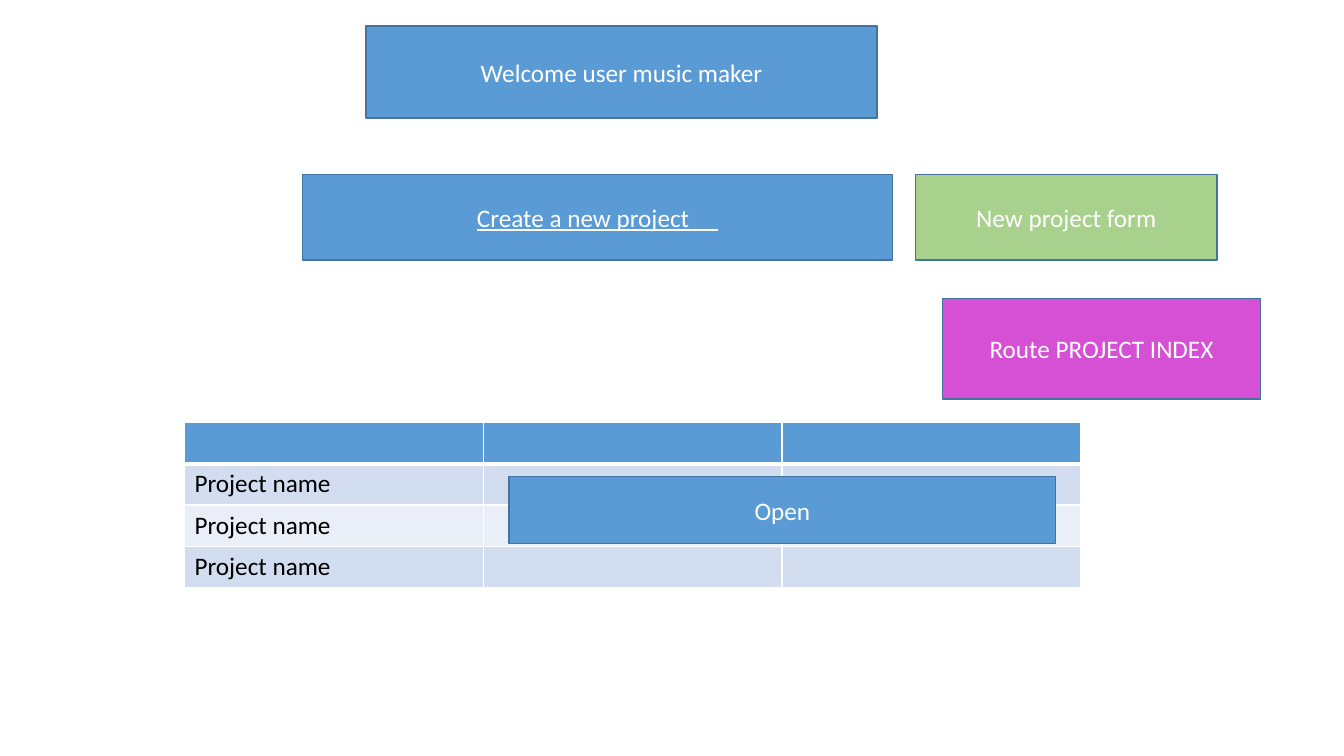
from dataclasses import dataclass

from lxml.etree import SubElement
from pptx import Presentation
from pptx.dml.color import RGBColor
from pptx.enum.shapes import MSO_SHAPE
from pptx.enum.text import MSO_ANCHOR, MSO_AUTO_SIZE, PP_ALIGN
from pptx.oxml.ns import qn
from pptx.util import Inches, Pt


@dataclass(frozen=True)
class Theme:
    font: str = "Calibri"
    size: int = 18
    blue: str = "5B9BD5"
    outline: str = "43739E"
    green: str = "A9D18E"
    magenta: str = "D650D5"
    light: str = "FFFFFF"
    dark: str = "000000"
    odd_row: str = "D2DEEF"
    even_row: str = "EAEFF7"
    rule: int = 1
    header_rule: int = 3


class Wireframe:
    def __init__(self, slide, theme):
        self.slide = slide
        self.theme = theme

    def fill(self, target, color):
        target.fill.solid()
        target.fill.fore_color.rgb = RGBColor.from_string(color)

    def set_text(self, frame, text, color, underline=None):
        frame.text = text
        for run in frame.paragraphs[0].runs:
            run.font.name = self.theme.font
            run.font.size = Pt(self.theme.size)
            run.font.color.rgb = RGBColor.from_string(color)
            run.font.underline = underline

    def style_box(self, box, text, color, underline=None):
        self.fill(box, color)
        box.line.color.rgb = RGBColor.from_string(self.theme.outline)
        box.line.width = Pt(self.theme.rule)
        frame = box.text_frame
        frame.word_wrap = True
        frame.auto_size = MSO_AUTO_SIZE.NONE
        frame.vertical_anchor = MSO_ANCHOR.MIDDLE
        self.set_text(frame, text, self.theme.light, underline)
        frame.paragraphs[0].alignment = PP_ALIGN.CENTER

    def title(self, text, left, top, width, height):
        heading = self.slide.shapes.title
        heading.left, heading.top = Inches(left), Inches(top)
        heading.width, heading.height = Inches(width), Inches(height)
        self.style_box(heading, text, self.theme.blue)

    def box(self, text, left, top, width, height, color, underline=None):
        panel = self.slide.shapes.add_shape(
            MSO_SHAPE.RECTANGLE, Inches(left), Inches(top), Inches(width), Inches(height))
        panel.shadow.inherit = False
        self.style_box(panel, text, color, underline)

    def borders(self, cell, bottom):
        properties = cell._tc.get_or_add_tcPr()
        widths = {"lnL": self.theme.rule, "lnR": self.theme.rule,
                  "lnT": self.theme.rule, "lnB": bottom}
        for position, (side, width) in enumerate(widths.items()):
            line = SubElement(properties, qn(f"a:{side}"), w=str(Pt(width)))
            properties.insert(position, line)
            solid = SubElement(line, qn("a:solidFill"))
            SubElement(solid, qn("a:srgbClr"), val=self.theme.light)

    def table(self, rows, left, top, width, row_height):
        grid = self.slide.shapes.add_table(
            len(rows), len(rows[0]), Inches(left), Inches(top),
            Inches(width), Inches(row_height * len(rows))).table
        row_fills = (self.theme.even_row, self.theme.odd_row)
        for row, texts in enumerate(rows):
            header = row == 0
            color = self.theme.blue if header else row_fills[row % 2]
            for column, text in enumerate(texts):
                cell = grid.cell(row, column)
                self.fill(cell, color)
                self.borders(cell, self.theme.header_rule if header else self.theme.rule)
                if text:
                    self.set_text(cell.text_frame, text, self.theme.dark)


def main():
    presentation = Presentation()
    presentation.slide_width = Inches(13.33)
    presentation.slide_height = Inches(7.5)
    theme = Theme()
    page = Wireframe(presentation.slides.add_slide(presentation.slide_layouts[5]), theme)

    page.box("Create a new project     ", 3, 1.73, 5.85, 0.85, theme.blue, underline=True)
    page.title("Welcome user music maker", 3.63, 0.26, 5.07, 0.91)
    projects = [("", "", "")] + [("Project name", "", "")] * 3
    page.table(projects, 1.83, 4.19, 8.89, 0.41)
    page.box("Open", 5.05, 4.73, 5.42, 0.66, theme.blue)
    page.box("New project form", 9.08, 1.73, 2.99, 0.85, theme.green)
    page.box("Route PROJECT INDEX", 9.35, 2.96, 3.15, 1, theme.magenta)

    presentation.save("out.pptx")


if __name__ == "__main__":
    main()
